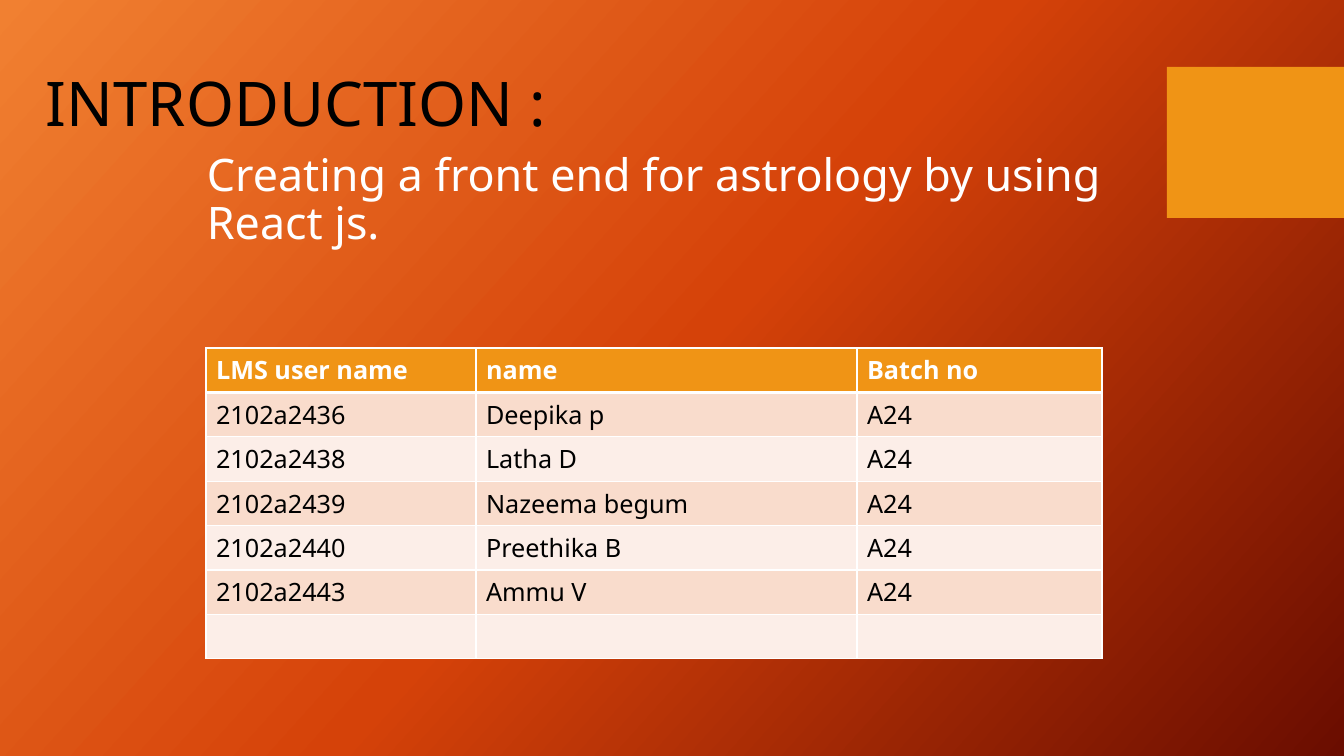
import pptx
import pptx.util
import pptx.dml.color
import pptx.enum.shapes
import pptx.enum.text
import pptx.oxml.ns
from lxml import etree

RGB = pptx.dml.color.RGBColor
WHITE = RGB(0xFF, 0xFF, 0xFF)
BLACK = RGB(0, 0, 0)
AMBER = RGB(0xF0, 0x94, 0x15)
PEACH = RGB(0xF9, 0xDC, 0xCC)
CREAM = RGB(0xFC, 0xEE, 0xE8)
GRADIENT = [(0, RGB(0xF1, 0x80, 0x31)), (50, RGB(0xD5, 0x42, 0x09)), (100, RGB(0x6A, 0x0D, 0x00))]
GRADIENT_ANGLE = 42
FONT = "Noto Sans"

TITLE = ["INTRODUCTION :"]
SUBTITLE = ["Creating a front end for astrology by using ", "React js."]
MEMBERS = [
    ("LMS user name ", "name", "Batch no"),
    ("2102a2436", "Deepika p", "A24"),
    ("2102a2438", "Latha D", "A24"),
    ("2102a2439", "Nazeema begum", "A24"),
    ("2102a2440", "Preethika B", "A24"),
    ("2102a2443", "Ammu V", "A24"),
    ("", "", ""),
]
COL_WIDTHS = [270, 381, 245]
ROW_HEIGHT = 44

qn = pptx.oxml.ns.qn


def px(n):
    return pptx.util.Emu(round(n * 914400 / 100.8))


def write(tf, lines, size, color, bold=False, spacing=1.0):
    for i, line in enumerate(lines):
        p = tf.add_paragraph() if i else tf.paragraphs[0]
        p.line_spacing = spacing
        if line:
            r = p.add_run()
            r.text = line
            r.font.name = FONT
            r.font.size = pptx.util.Pt(size)
            r.font.bold = bold
            r.font.color.rgb = color


def add_text(lines, box, **fmt):
    tf = slide.shapes.add_textbox(*map(px, box)).text_frame
    tf.word_wrap = True
    write(tf, lines, **fmt)
    return tf


def add_border(cell, side, width):
    ln = etree.SubElement(cell._tc.get_or_add_tcPr(), qn("a:ln" + side), w=str(pptx.util.Pt(width)))
    fill = etree.SubElement(ln, qn("a:solidFill"))
    etree.SubElement(fill, qn("a:srgbClr"), val=str(WHITE))


prs = pptx.Presentation()
prs.slide_width, prs.slide_height = px(1344), px(756)
slide = prs.slides.add_slide(prs.slide_layouts[6])

slide.background.fill.gradient()
grad = next(slide.element.iter(qn("a:gradFill")))
stops = grad.find(qn("a:gsLst"))
for gs in list(stops):
    stops.remove(gs)
for pos, color in GRADIENT:
    gs = etree.SubElement(stops, qn("a:gs"), pos=str(pos * 1000))
    etree.SubElement(gs, qn("a:srgbClr"), val=str(color))
lin = grad.find(qn("a:lin"))
lin.set("ang", str(GRADIENT_ANGLE * 60000))
lin.set("scaled", "0")

sp = slide.shapes.add_shape(pptx.enum.shapes.MSO_SHAPE.RECTANGLE, *map(px, (1167, 67, 177, 151)))
sp.shadow.inherit = False
sp.fill.solid()
sp.fill.fore_color.rgb = AMBER
sp.line.fill.background()

table = slide.shapes.add_table(
    len(MEMBERS), len(COL_WIDTHS),
    *map(px, (206, 348, sum(COL_WIDTHS), ROW_HEIGHT * len(MEMBERS)))).table
for col, width in zip(table.columns, COL_WIDTHS):
    col.width = px(width)
for i, values in enumerate(MEMBERS):
    table.rows[i].height = px(ROW_HEIGHT)
    header = i == 0
    for j, value in enumerate(values):
        cell = table.cell(i, j)
        for side in "LRTB":
            heavy = (header and side == "B") or (i == 1 and side == "T")
            add_border(cell, side, 3 if heavy else 1)
        cell.fill.solid()
        cell.fill.fore_color.rgb = AMBER if header else PEACH if i % 2 else CREAM
        write(cell.text_frame, [value], size=18, color=WHITE if header else BLACK, bold=header)

tf = add_text(TITLE, (36, 59, 543, 85), size=44, color=BLACK)
tf.vertical_anchor = pptx.enum.text.MSO_ANCHOR.MIDDLE
tf = add_text(SUBTITLE, (197, 144, 1006, 119), size=32, color=WHITE, spacing=0.89)
tf.margin_top = px(9)

prs.save("out.pptx")
